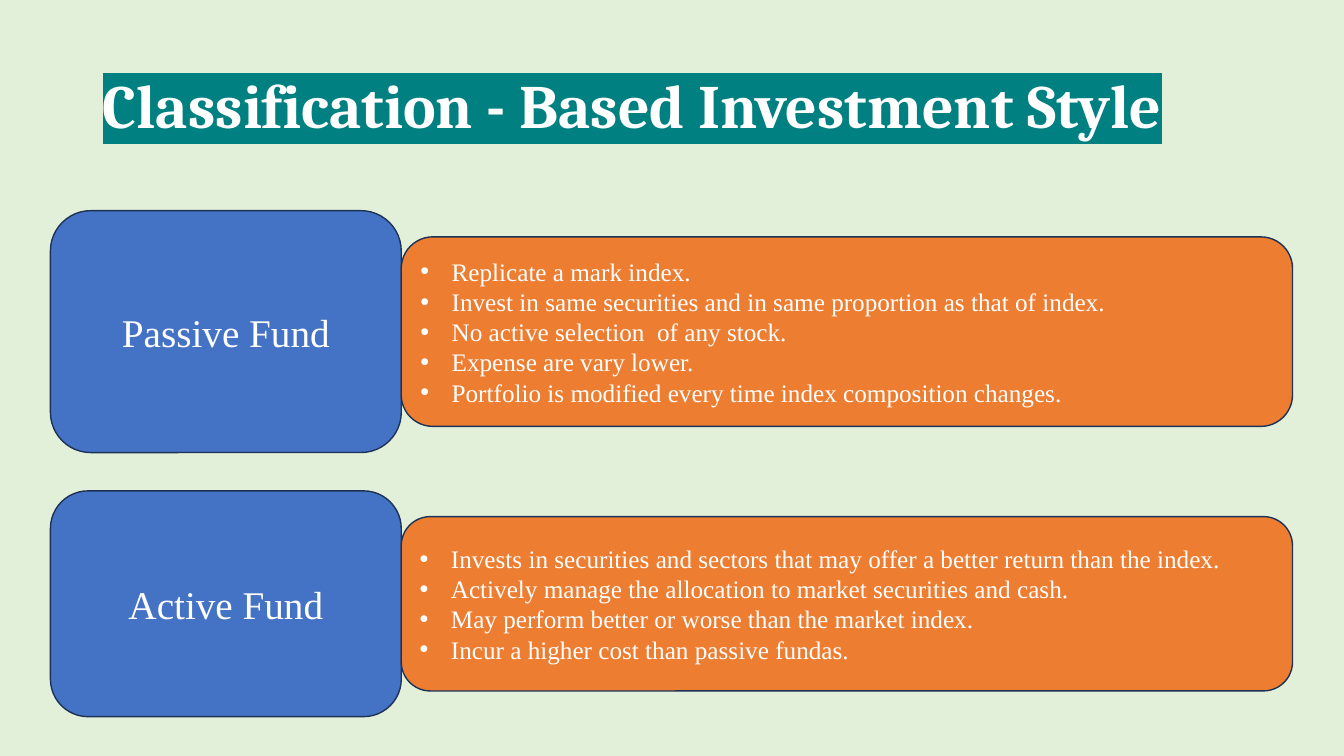
"""Build the slide that classifies funds by investment style."""
from dataclasses import dataclass

from lxml.etree import SubElement
from pptx import Presentation
from pptx.dml.color import RGBColor as RGB
from pptx.enum.shapes import MSO_SHAPE as SHAPE
from pptx.enum.text import MSO_ANCHOR as ANCHOR, MSO_AUTO_SIZE as FIT, PP_ALIGN as ALIGN
from pptx.oxml.ns import qn
from pptx.util import Inches, Pt


@dataclass
class Theme:
    background: str = "E2F0D9"
    highlight: str = "008080"
    name_fill: str = "4472C4"
    points_fill: str = "ED7D31"
    outline: str = "1E3256"
    text: str = "FFFFFF"
    title_font: str = "Cambria"
    body_font: str = "Times New Roman"
    title_size: int = 44
    name_size: int = 28
    points_size: int = 18


theme = Theme()


def write(tf, lines, size, font=theme.body_font, bold=False, align=ALIGN.LEFT,
          bullet=None, highlight=None, spacing=None):
    """Write one paragraph per line into a text frame."""
    tf.word_wrap = True
    tf.auto_size = FIT.NONE
    tf.vertical_anchor = ANCHOR.MIDDLE
    for i, line in enumerate(lines):
        p = tf.add_paragraph() if i else tf.paragraphs[0]
        p.alignment = align
        if spacing:
            p.line_spacing = spacing
        r = p.add_run()
        r.text = line
        r.font.size, r.font.name, r.font.bold = Pt(size), font, bold
        r.font.color.rgb = RGB.from_string(theme.text)
        if bullet:
            pPr = p._p.get_or_add_pPr()
            pPr.set("marL", str(Inches(0.31)))
            pPr.set("indent", str(-Inches(0.31)))
            SubElement(pPr, qn("a:buFont")).set("typeface", "Arial")
            SubElement(pPr, qn("a:buChar")).set("char", bullet)
        if highlight:
            rPr = r._r.get_or_add_rPr()
            mark = SubElement(rPr, qn("a:highlight"))
            SubElement(mark, qn("a:srgbClr")).set("val", highlight)
            rPr.find(qn("a:solidFill")).addnext(mark)


def add_box(left, top, width, height, fill):
    """Add an outlined rounded box and return its text frame."""
    sp = s.shapes.add_shape(SHAPE.ROUNDED_RECTANGLE, Inches(left), Inches(top),
                            Inches(width), Inches(height))
    sp.shadow.inherit = False
    sp.fill.solid()
    sp.fill.fore_color.rgb = RGB.from_string(fill)
    sp.line.color.rgb = RGB.from_string(theme.outline)
    sp.line.width = Pt(1)
    return sp.text_frame


prs = Presentation()
prs.slide_width, prs.slide_height = Inches(13.33), Inches(7.5)
s = prs.slides.add_slide(prs.slide_layouts[5])
s.background.fill.solid()
s.background.fill.fore_color.rgb = RGB.from_string(theme.background)

title = s.shapes.title
title.left, title.top = Inches(0.92), Inches(0.35)
title.width, title.height = Inches(12.29), Inches(1.45)
write(title.text_frame, ["Classification - Based Investment Style"], theme.title_size,
      font=theme.title_font, bold=True, highlight=theme.highlight, spacing=0.9)

funds = [
    ("Passive Fund", 2.09, 2.4, 1.88, [
        "Replicate a mark index.",
        "Invest in same securities and in same proportion as that of index.",
        "No active selection  of any stock.",
        "Expense are vary lower.",
        "Portfolio is modified every time index composition changes.",
    ]),
    ("Active Fund", 4.87, 2.24, 1.73, [
        "Invests in securities and sectors that may offer a better return than the index.",
        "Actively manage the allocation to market securities and cash.",
        "May perform better or worse than the market index.",
        "Incur a higher cost than passive fundas.",
    ]),
]
left, name_width, points_width = 0.5, 3.48, 8.84
for name, top, name_height, points_height, points in funds:
    tf = add_box(left, top, name_width, name_height, theme.name_fill)
    write(tf, [name], theme.name_size, align=ALIGN.CENTER)
    points_top = top + (name_height - points_height) / 2
    tf = add_box(left + name_width, points_top, points_width, points_height, theme.points_fill)
    write(tf, points, theme.points_size, bullet="•")

prs.save("out.pptx")
